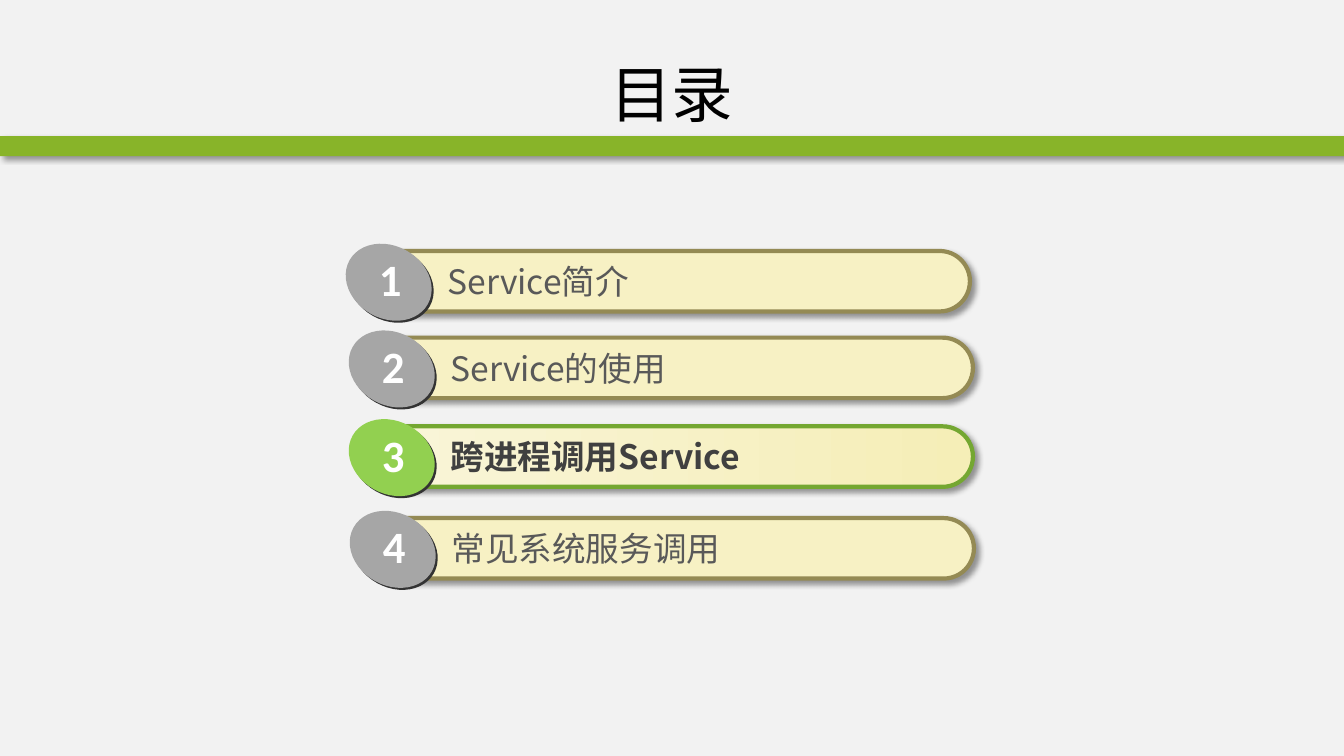
from pptx import Presentation, util as u
from pptx.dml import color
from pptx.enum import shapes, text
from pptx.oxml import parse_xml
from pptx.oxml.ns import nsdecls, qn

TITLE = "目录"
ENTRIES = [
    {"label": "Service简介", "at": (3.62, 2.49), "active": False},
    {"label": "Service的使用", "at": (3.65, 3.35), "active": False},
    {"label": "跨进程调用Service", "at": (3.65, 4.23), "active": True},
    {"label": "常见系统服务调用", "at": (3.66, 5.14), "active": False},
]

THEME = {
    "page": "F2F2F2",
    "band": "88B429",
    "under": "333333",
    "title": {"name": "Noto Sans CJK SC", "size": 44, "color": "000000", "bold": False},
    "number": {"name": "Calibri", "size": 32, "color": "FFFFFF", "bold": True},
    False: {
        "bar": ["F7F1C4"], "edge": "948A54", "badge": "A6A6A6",
        "label": {"name": "Noto Sans CJK SC", "size": 24, "color": "595959", "bold": False},
    },
    True: {
        "bar": ["F9F5D9", "F5EEB7"], "edge": "74A731", "badge": "92D050",
        "label": {"name": "Noto Sans CJK SC", "size": 24, "color": "404040", "bold": True},
    },
}

WIDTH, HEIGHT = 13.33, 7.5
BAR = (6, 0.6)
BADGE = (0.89, 0.72)
TILT = 29.3
SHADOW = (
    f'<a:effectLst {nsdecls("a")}><a:outerShdw blurRad="50800" dist="38100" '
    'dir="2700000" algn="tl" rotWithShape="0"><a:srgbClr val="000000">'
    '<a:alpha val="40000"/></a:srgbClr></a:outerShdw></a:effectLst>'
)


def rgb(value):
    return color.RGBColor.from_string(value)


def add_shape(parent, kind, place, colors, edge=None, shadow=False):
    shape = parent.add_shape(kind, *map(u.Inches, place))
    shape.shadow.inherit = False
    if len(colors) == 1:
        shape.fill.solid()
        shape.fill.fore_color.rgb = rgb(colors[0])
    else:
        shape.fill.gradient()
        shape.fill.gradient_angle = 0
        for stop, value in zip(shape.fill.gradient_stops, colors):
            stop.color.rgb = rgb(value)
    if edge:
        shape.line.color.rgb = rgb(edge)
        shape.line.width = u.Pt(3)
    else:
        shape.line.fill.background()
    if shadow:
        properties = shape._element.spPr
        properties.replace(properties.find(qn("a:effectLst")), parse_xml(SHADOW))
    return shape


def add_text(parent, place, words, style, wrap=True, **format_values):
    box = parent.add_textbox(*map(u.Inches, place))
    frame = box.text_frame
    frame.word_wrap = wrap
    frame.vertical_anchor = format_values.get("anchor", text.MSO_ANCHOR.TOP)
    para = frame.paragraphs[0]
    para.alignment = format_values.get("align", text.PP_ALIGN.LEFT)
    span = para.add_run()
    span.text = words
    values = {"name": style["name"], "size": u.Pt(style["size"]), "bold": style["bold"]}
    for key, value in values.items():
        setattr(span.font, key, value)
    span.font.color.rgb = rgb(style["color"])
    east = parse_xml(f'<a:ea {nsdecls("a")} typeface="{style["name"]}"/>')
    span._r.get_or_add_rPr().append(east)


def add_entry(page, number, entry):
    look = THEME[entry["active"]]
    left, top = entry["at"]
    group = page.shapes.add_group_shape().shapes
    bar = add_shape(group, shapes.MSO_SHAPE.ROUNDED_RECTANGLE, (left, top, *BAR),
                    look["bar"], look["edge"], True)
    bar.adjustments[0] = 0.5
    add_text(group, (left + 0.72, top + 0.05, 4.9, 0.5), entry["label"], look["label"])
    layers = [(-0.19, -0.03, THEME["under"]), (-0.21, -0.05, look["badge"])]
    for across, down, fill in layers:
        disc = add_shape(group, shapes.MSO_SHAPE.OVAL,
                         (left + across, top + down, *BADGE), [fill])
        disc.rotation = TILT
    add_text(group, (left + 0.04, top - 0.04, 0.43, 0.64), str(number),
             THEME["number"], wrap=False)


def main():
    deck = Presentation()
    deck.slide_width, deck.slide_height = u.Inches(WIDTH), u.Inches(HEIGHT)
    page = deck.slides.add_slide(deck.slide_layouts[6])
    page.background.fill.solid()
    page.background.fill.fore_color.rgb = rgb(THEME["page"])
    add_shape(page.shapes, shapes.MSO_SHAPE.RECTANGLE,
              (0, HEIGHT * 0.18, WIDTH, 0.2), [THEME["band"]], shadow=True)
    for number, entry in enumerate(ENTRIES, 1):
        add_entry(page, number, entry)
    add_text(page.shapes, (WIDTH * 0.05, HEIGHT * 0.04, WIDTH * 0.9, 1.25), TITLE,
             THEME["title"], anchor=text.MSO_ANCHOR.MIDDLE, align=text.PP_ALIGN.CENTER)
    deck.save("out.pptx")


if __name__ == "__main__":
    main()
